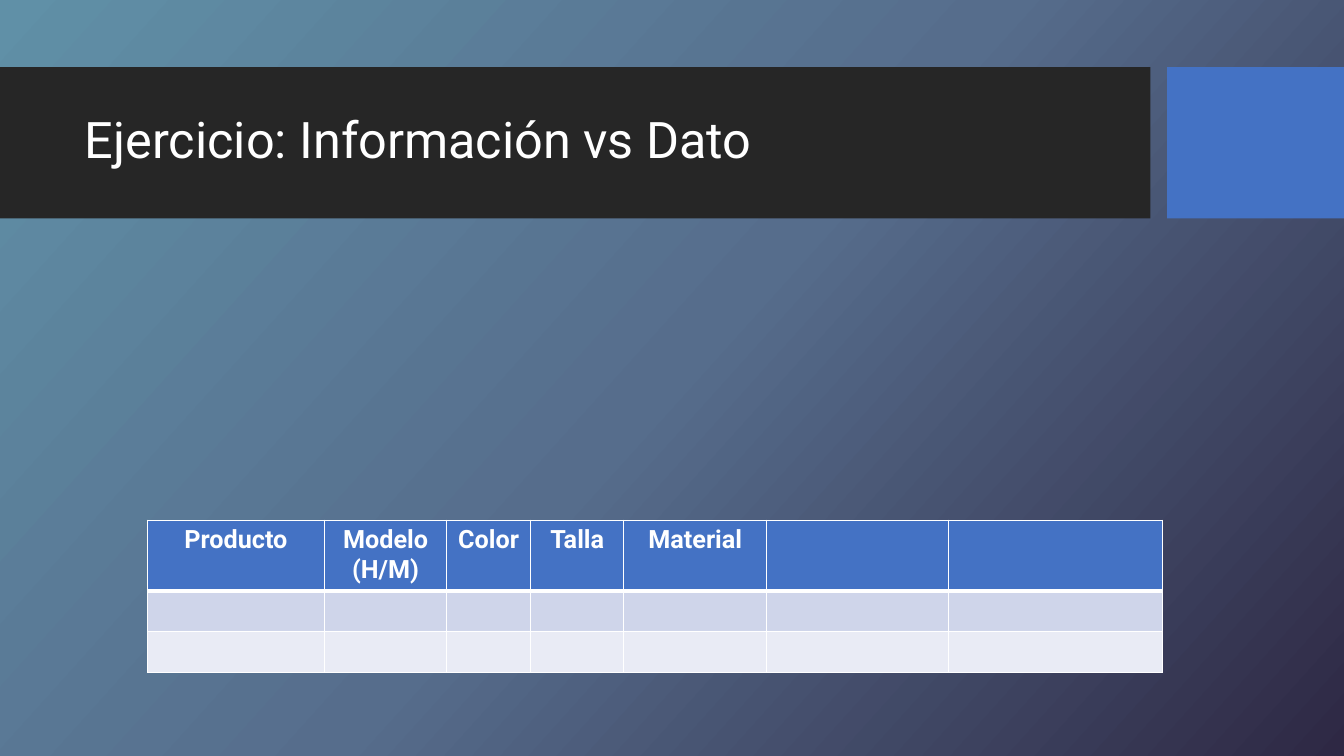
"""Build the "Información vs Dato" exercise slide with its product table."""
from copy import deepcopy

from lxml.etree import SubElement
from pptx import Presentation
from pptx.dml.color import RGBColor
from pptx.enum.shapes import MSO_SHAPE
from pptx.enum.text import MSO_ANCHOR, PP_ALIGN
from pptx.oxml.ns import qn
from pptx.util import Pt

FONT = "Roboto"
WHITE = "FFFFFF"
BLUE = "4472C4"


def color(value):
    return RGBColor.from_string(value)


def add_border(cell, side, width):
    properties = cell._tc.get_or_add_tcPr()
    line = SubElement(properties, qn(f"a:ln{side}"), w=str(Pt(width)))
    fill = SubElement(line, qn("a:solidFill"))
    SubElement(fill, qn("a:srgbClr"), val=WHITE)


presentation = Presentation()
presentation.slide_width = Pt(960)
presentation.slide_height = Pt(540)
slide = presentation.slides.add_slide(presentation.slide_layouts[6])

background = slide.background.fill
background.gradient()
background.gradient_angle = 360 - 42
stop_list = background.gradient_stops[0]._gs.getparent()
stop_list.append(deepcopy(stop_list[-1]))
stops = [(0, "6090A7"), (0.5, "566D8C"), (1, "2E2844")]
for stop, (position, value) in zip(background.gradient_stops, stops):
    stop.position = position
    stop.color.rgb = color(value)

for left, width, value in [(0, 821.8, "262626"), (833.6, 126.4, BLUE)]:
    shape = slide.shapes.add_shape(
        MSO_SHAPE.RECTANGLE, Pt(left), Pt(48), Pt(width), Pt(108))
    shape.shadow.inherit = False
    shape.fill.solid()
    shape.fill.fore_color.rgb = color(value)
    shape.line.fill.background()

title = slide.shapes.add_textbox(Pt(53.6), Pt(59), Pt(756.7), Pt(85))
text_frame = title.text_frame
text_frame.word_wrap = True
text_frame.vertical_anchor = MSO_ANCHOR.MIDDLE
text_frame.text = "Ejercicio: Información vs Dato"
paragraph = text_frame.paragraphs[0]
paragraph.line_spacing = 0.9
paragraph.font.size = Pt(36)
paragraph.font.name = FONT
paragraph.font.color.rgb = color(WHITE)

headers = ["Producto", "Modelo (H/M)", "Color", "Talla", "Material", "", ""]
column_widths = [126.5, 87.3, 60, 66.5, 102.2, 130, 152.8]
row_heights = [49.7, 29.3, 29.3]
row_fills = [BLUE, "CFD5EA", "E9EBF5"]

table = slide.shapes.add_table(
    len(row_heights), len(headers), Pt(105.3), Pt(371.6),
    Pt(sum(column_widths)), Pt(sum(row_heights))).table
for column, width in zip(table.columns, column_widths):
    column.width = Pt(width)

for row_index, row in enumerate(table.rows):
    row.height = Pt(row_heights[row_index])
    top_width = 3 if row_index == 1 else 1
    bottom_width = 3 if row_index == 0 else 1
    for cell in row.cells:
        for side, width in zip("LRTB", (1, 1, top_width, bottom_width)):
            add_border(cell, side, width)
        cell.fill.solid()
        cell.fill.fore_color.rgb = color(row_fills[row_index])

for cell, header in zip(table.rows[0].cells, headers):
    cell.text_frame.text = header
    paragraph = cell.text_frame.paragraphs[0]
    paragraph.alignment = PP_ALIGN.CENTER
    for run in paragraph.runs:
        run.font.size = Pt(18)
        run.font.name = FONT
        run.font.bold = True
        run.font.color.rgb = color(WHITE)

presentation.save("out.pptx")
